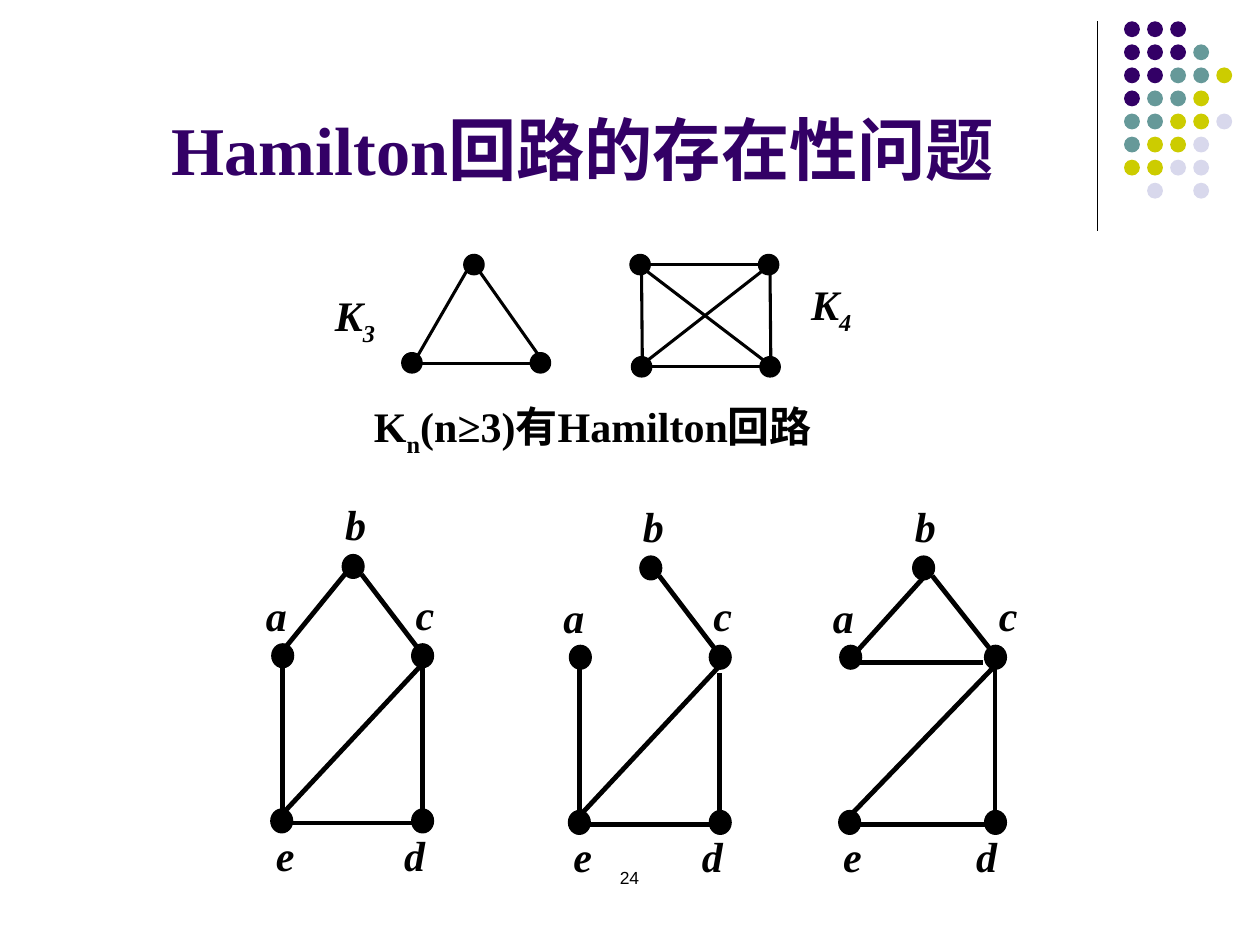
from dataclasses import dataclass

from pptx import Presentation, util as u
from pptx.dml.color import RGBColor
from pptx.enum import shapes, text
from pptx.oxml.ns import qn

Cm, Pt = u.Cm, u.Pt
Kind = shapes.MSO_SHAPE


@dataclass(frozen=True)
class Theme:
    """Colours, fonts and sizes of the slide."""
    ink: str = "000000"
    plum: str = "330066"
    teal: str = "669999"
    lime: str = "CCCC00"
    mist: str = "D8D8EC"
    serif: str = "Times New Roman"
    sans: str = "Arial"
    title: int = 39
    body: int = 24
    small: int = 10
    thin: float = 0.75
    mid: float = 1.75
    thick: float = 2.75


T = Theme()
HUES = {"p": T.plum, "t": T.teal, "l": T.lime, "m": T.mist}
DOTS = ["ppp", "pppt", "ppttl", "pttl", "ttllm", "tllm", "llmm", " m m"]

NODES = {"a": (0, 0), "c": (2.82, 0), "d": (2.82, 3.33),
         "e": (-0.02, 3.33), "b": (1.42, -1.8)}
NAMES = {"a": (-0.59, -1.46), "c": (2.43, -1.49), "b": (1.01, -3.29),
         "e": (-0.39, 3.37), "d": (2.2, 3.37)}
EDGES = {
    "ab": (0.07, -0.19, 1.29, -1.69),
    "ab roof": (0.05, -0.04, 1.49, -1.69),
    "bc": (1.59, -1.64, 2.81, -0.04),
    "ac": (-0.06, 0.11, 2.58, 0.11),
    "ce": (2.81, 0.17, -0.01, 3.19),
    "cd": (2.81, 0.17, 2.81, 3.16),
    "cd low": (2.81, 0.32, 2.81, 3.31),
    "de": (2.81, 3.37, -0.01, 3.37),
    "ae": (-0.01, 0.17, -0.01, 3.16),
}
GRAPHS = [
    (5.7, 13.22, 1, 0, ["ab", "bc", "ce", "cd", "de", "ae"]),
    (11.7, 13.25, 1, 0, ["bc", "ce", "cd low", "de", "ae"]),
    (17.15, 13.25, 1.035, 0.22, ["ab roof", "bc", "ac", "ce", "cd", "de"]),
]
CLIQUES = [
    ("3", 6.5, 5.72,
     [(8.1, 7.11), (10.69, 7.11), (9.35, 5.13)],
     [(8.51, 7.32, 10.69, 7.32), (9.6, 5.13, 8.41, 7.19),
      (9.68, 5.49, 10.95, 7.29)]),
    ("4", 16.1, 5.49,
     [(12.7, 5.13), (15.29, 5.13), (12.73, 7.19), (15.32, 7.19)],
     [(13.11, 5.33, 15.29, 5.33), (15.39, 7.26, 13.03, 5.46),
      (13.13, 7.39, 15.32, 7.39), (15.54, 7.39, 15.52, 5.21),
      (12.95, 7.44, 12.93, 5.23), (13.06, 7.26, 15.37, 5.46)]),
]


def rgb(hue):
    """Turn a hex string into a colour."""
    return RGBColor.from_string(hue)


def edge(slide, ends, width):
    """Draw a straight black line."""
    line = slide.shapes.add_connector(
        shapes.MSO_CONNECTOR.STRAIGHT, *map(Cm, ends))
    line.line.color.rgb = rgb(T.ink)
    line.line.width = Pt(width)
    props = line._element.spPr
    props.append(props.makeelement(qn("a:effectLst"), {}))


def disc(slide, box, hue, kind=Kind.OVAL, rim=True):
    """Draw a filled round mark."""
    mark = slide.shapes.add_shape(kind, *map(Cm, box))
    mark.shadow.inherit = False
    mark.fill.solid()
    mark.fill.fore_color.rgb = rgb(hue)
    if rim:
        mark.line.color.rgb = rgb(hue)
        mark.line.width = Pt(T.thin)
    else:
        mark.line.fill.background()


def write(shape, parts, size, hue=T.ink, face=T.serif, bold=True, slant=False,
          side=text.PP_ALIGN.LEFT, anchor=text.MSO_ANCHOR.TOP):
    """Fill a shape with one paragraph, lowering every second part."""
    frame = shape.text_frame
    frame.word_wrap = True
    frame.vertical_anchor = anchor
    para = frame.paragraphs[0]
    para.alignment = side
    font = para.font
    font.name, font.size = face, Pt(size)
    font.bold, font.italic = bold, slant
    font.color.rgb = rgb(hue)
    for i, part in enumerate(parts):
        run = para.add_run()
        run.text = part
        if i % 2:
            run._r.get_or_add_rPr().set("baseline", "-25000")
    return para


def label(slide, box, parts, size, **look):
    """Add a text box."""
    return write(slide.shapes.add_textbox(*map(Cm, box)), parts, size, **look)


def corner(slide):
    """Draw the dot grid and its rule."""
    edge(slide, (22.12, 0.43, 22.12, 4.65), T.thin)
    for row, keys in enumerate(DOTS):
        for col, key in enumerate(keys):
            if key in HUES:
                box = (22.66 + 0.465 * col, 0.43 + 0.465 * row, 0.32, 0.32)
                disc(slide, box, HUES[key], rim=False)


def graph(slide, left, top, scale, nudge, edges):
    """Draw a five-node graph with its names."""
    for name in edges:
        x, y, far, low = EDGES[name]
        edge(slide, (left + x * scale, top + y, left + far * scale, top + low),
             T.thick)
    for x, y in NODES.values():
        disc(slide, (left + x * scale - 0.22, top + y - 0.24, 0.44, 0.48), T.ink)
    for name, (x, y) in NAMES.items():
        shift = nudge if name == "c" else 0
        label(slide, (left + x * scale + shift, top + y, 1, 1.27), [name],
              T.body, slant=True)


def clique(slide, order, left, top, nodes, edges):
    """Draw a complete graph with its name."""
    for ends in edges:
        edge(slide, ends, T.mid)
    for x, y in nodes:
        disc(slide, (x, y, 0.41, 0.41), T.ink, Kind.FLOWCHART_CONNECTOR)
    note = slide.shapes.add_shape(
        Kind.RECTANGULAR_CALLOUT, *map(Cm, (left, top, 2, 1.4)))
    note.shadow.inherit = False
    note.fill.background()
    note.line.fill.background()
    write(note, ["K", order], T.body, slant=True)


def main():
    """Build the slide and save it."""
    deck = Presentation()
    deck.slide_width, deck.slide_height = Cm(25.4), Cm(19.05)
    slide = deck.slides.add_slide(deck.slide_layouts[6])
    mid = text.PP_ALIGN.CENTER
    corner(slide)
    label(slide, (1.27, 0.33, 20.96, 3.6), ["Hamilton回路的存在性问题"], T.title,
          hue=T.plum, side=mid, anchor=text.MSO_ANCHOR.BOTTOM)
    claim = label(slide, (7.29, 7.72, 10, 1.8),
                  ["K", "n", "(n≥3)有Hamilton回路"], T.body)
    claim.line_spacing, claim.space_before = 1.2, Pt(5)
    for item in GRAPHS:
        graph(slide, *item)
    for item in CLIQUES:
        clique(slide, *item)
    label(slide, (9.73, 17.35, 5.92, 1.27), ["24"], T.small, face=T.sans,
          bold=False, side=mid)
    deck.save("out.pptx")


if __name__ == "__main__":
    main()
